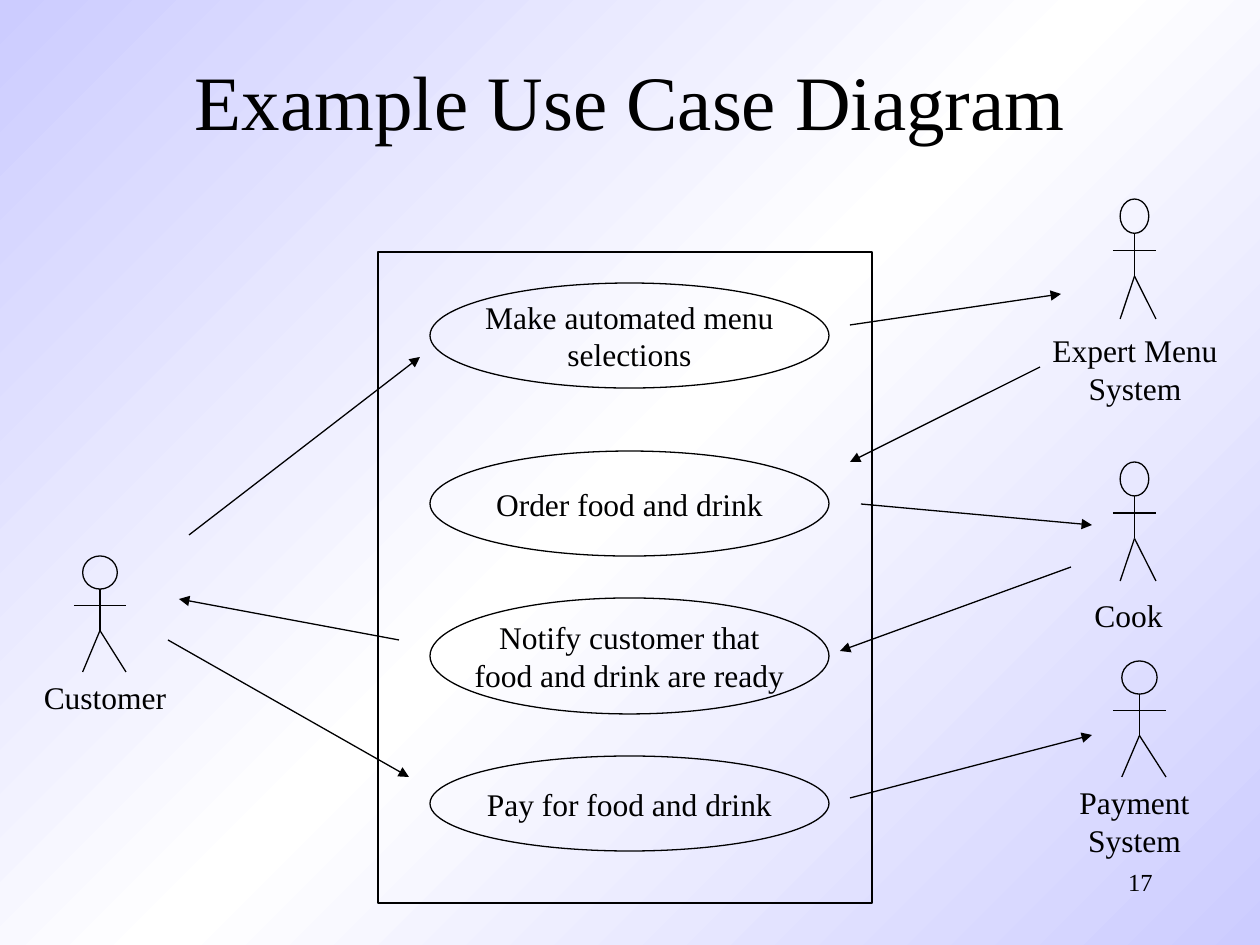
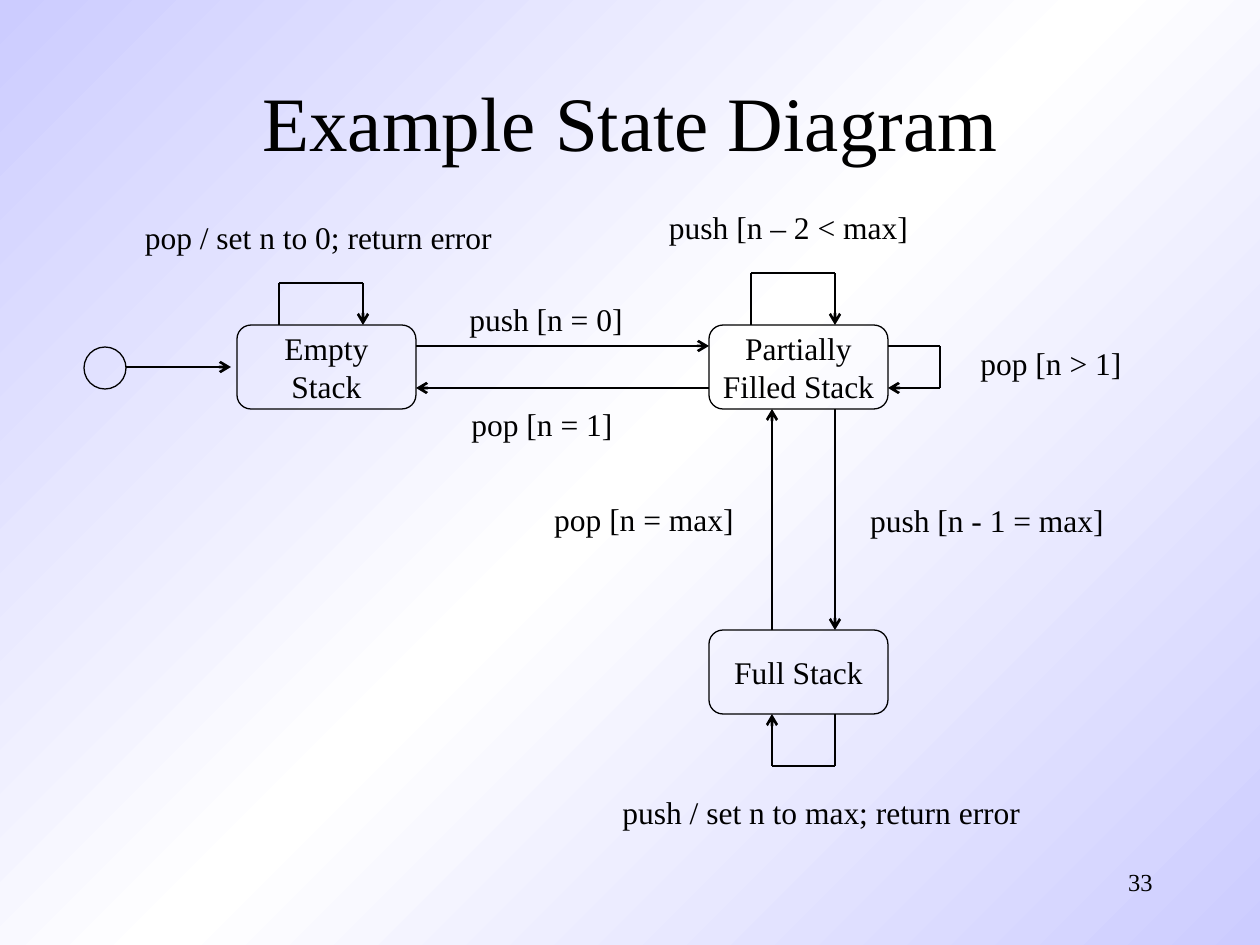
from copy import deepcopy
from dataclasses import dataclass
from itertools import pairwise
from typing import Any, NamedTuple

from lxml import etree
from pptx import Presentation
from pptx import util as u
from pptx.dml.color import RGBColor
from pptx.enum import shapes, text
from pptx.oxml.ns import qn

PX = u.Inches(1) / 126


@dataclass(frozen=True)
class Theme:
    ink: RGBColor = RGBColor(0x00, 0x00, 0x00)
    lilac: RGBColor = RGBColor(0xCC, 0xCC, 0xFF)
    white: RGBColor = RGBColor(0xFF, 0xFF, 0xFF)
    font: str = "Times New Roman"
    title_size: int = 44
    label_size: int = 18
    number_size: int = 14
    thin: float = 0.75
    thick: float = 1.5


THEME = Theme()


class Point(NamedTuple):
    x: float
    y: float


class Box(NamedTuple):
    left: float
    top: float
    width: float
    height: float


class Label(NamedTuple):
    words: str
    box: Box


class Actor(NamedTuple):
    label: Label
    figure: Box


SYSTEM_BOUNDARY = Box(378, 252, 494, 651)
USE_CASES = [
    Label("Make automated menu\nselections", Box(430, 283, 399, 105)),
    Label("Order food and drink", Box(430, 451, 399, 105)),
    Label("Notify customer that\nfood and drink are ready", Box(430, 598, 399, 116)),
    Label("Pay for food and drink", Box(430, 756, 399, 95)),
]
ACTORS = [
    Actor(Label("Customer", Box(29, 672, 152, 50)), Box(74, 556, 52, 116)),
    Actor(Label("Expert Menu\nSystem", Box(1037, 325, 196, 88)), Box(1113, 199, 43, 120)),
    Actor(Label("Cook", Box(1079, 590, 99, 50)), Box(1113, 462, 43, 119)),
    Actor(Label("Payment\nSystem", Box(1064, 777, 141, 88)), Box(1113, 661, 53, 116)),
]
MESSAGES = [
    [Point(189, 535), Point(420, 357)],
    [Point(850, 325), Point(1061, 294)],
    [Point(1040, 367), Point(850, 462)],
    [Point(861, 504), Point(1092, 525)],
    [Point(1071, 567), Point(840, 651)],
    [Point(399, 640), Point(179, 599)],
    [Point(168, 640), Point(409, 777)],
    [Point(850, 798), Point(1092, 735)],
]

START_STATE = Box(84, 347, 42, 42)
STATES = [
    Label("Empty\nStack", Box(237, 325, 179, 84)),
    Label("Partially\nFilled Stack", Box(709, 325, 179, 84)),
    Label("Full Stack", Box(709, 630, 179, 84)),
]
TRANSITIONS = [
    [Point(126, 367), Point(231, 367)],
    [Point(416, 346), Point(709, 346)],
    [Point(709, 388), Point(416, 388)],
    [Point(772, 630), Point(772, 409)],
    [Point(835, 409), Point(835, 630)],
    [Point(279, 325), Point(279, 283), Point(363, 283), Point(363, 325)],
    [Point(751, 325), Point(751, 273), Point(835, 273), Point(835, 325)],
    [Point(888, 346), Point(940, 346), Point(940, 388), Point(888, 388)],
    [Point(835, 714), Point(835, 766), Point(772, 766), Point(772, 714)],
]
TRANSITION_LABELS = [
    Label("pop / set n to 0; return error", Box(129, 212, 379, 50)),
    Label("push [n – 2 < max]", Box(653, 202, 271, 50)),
    Label("push [n = 0]", Box(454, 294, 184, 50)),
    Label("pop [n = 1]", Box(456, 399, 172, 50)),
    Label("pop [n > 1]", Box(965, 338, 172, 50)),
    Label("pop [n = max]", Box(539, 494, 210, 50)),
    Label("push [n - 1 = max]", Box(855, 495, 264, 50)),
    Label("push / set n to max; return error", Box(607, 787, 429, 50)),
]


def emu(lengths: tuple[float, ...]) -> list[int]:
    return [round(length * PX) for length in lengths]


def set_attributes(target: Any, values: dict[str, Any]) -> None:
    for name, value in values.items():
        setattr(target, name, value)


def write_text(shape: Any, words: str, size: int,
               align: Any = text.PP_ALIGN.CENTER, **frame_format: Any) -> None:
    """Fill the shape with one paragraph per line of words."""
    frame = shape.text_frame
    frame.text = words
    set_attributes(frame, frame_format)
    for paragraph in frame.paragraphs:
        paragraph.alignment = align
        set_attributes(paragraph.font, {"name": THEME.font, "size": u.Pt(size)})
        paragraph.font.color.rgb = THEME.ink


def add_outline(parent: Any, kind: Any, box: Box, words: str = "") -> None:
    shape = parent.shapes.add_shape(kind, *emu(box))
    shape.shadow.inherit = False
    shape.fill.background()
    shape.line.color.rgb = THEME.ink
    shape.line.width = u.Pt(THEME.thin)
    if words:
        write_text(shape, words, THEME.label_size, word_wrap=False,
                   vertical_anchor=text.MSO_ANCHOR.MIDDLE)


def add_label(slide: Any, label: Label) -> None:
    shape = slide.shapes.add_textbox(*emu(label.box))
    write_text(shape, label.words, THEME.label_size, word_wrap=False,
               auto_size=text.MSO_AUTO_SIZE.NONE)


def add_line(parent: Any, start: Point, end: Point, width: float, head: str = "") -> None:
    line = parent.shapes.add_connector(shapes.MSO_CONNECTOR.STRAIGHT, *emu(start + end))
    line.line.color.rgb = THEME.ink
    line.line.width = u.Pt(width)
    if head:
        etree.SubElement(line.line._get_or_add_ln(), qn("a:tailEnd"), type=head)
    etree.SubElement(line._element.spPr, qn("a:effectLst"))


def add_arrow(slide: Any, points: list[Point], width: float, head: str) -> None:
    """Join the points by lines, with an arrowhead at the last point."""
    for start, end in pairwise(points):
        add_line(slide, start, end, width, head if end == points[-1] else "")


def add_stick_figure(slide: Any, box: Box) -> None:
    left, top, width, height = box
    middle, right, bottom = left + width / 2, left + width, top + height
    head = Box(left + width / 6, top, width * 2 / 3, height * 2 / 7)
    neck = Point(middle, top + head.height)
    hip = Point(middle, top + height * 9 / 14)
    arms = top + height * 3 / 7
    limbs = [
        (neck, hip),
        (hip, Point(head.left, bottom)),
        (hip, Point(right, bottom)),
        (Point(left, arms), Point(right, arms)),
    ]
    group = slide.shapes.add_group_shape()
    add_outline(group, shapes.MSO_SHAPE.OVAL, head)
    for start, end in limbs:
        add_line(group, start, end, THEME.thin)


def paint_background(master: Any) -> None:
    fill = master.background.fill
    fill.gradient()
    fill.gradient_angle = 315
    stop_list = next(master._element.iter(qn("a:gsLst")))
    stop_list.insert(1, deepcopy(stop_list[0]))
    colors = [THEME.lilac, THEME.white, THEME.lilac]
    for index, (stop, color) in enumerate(zip(fill.gradient_stops, colors)):
        stop.position = index / 2
        stop.color.rgb = color


def add_slide(presentation: Any, title: str, title_top: int, number: int) -> Any:
    slide = presentation.slides.add_slide(presentation.slide_layouts[5])
    heading = slide.shapes.title
    places = emu(Box(95, title_top, 1071, 158))
    set_attributes(heading, dict(zip(Box._fields, places)))
    write_text(heading, title, THEME.title_size, word_wrap=True,
               auto_size=text.MSO_AUTO_SIZE.NONE,
               vertical_anchor=text.MSO_ANCHOR.MIDDLE)
    page_number = slide.shapes.add_textbox(*emu(Box(903, 861, 262, 63)))
    write_text(page_number, str(number), THEME.number_size,
               text.PP_ALIGN.RIGHT, word_wrap=True)
    return slide


def build_use_case_slide(presentation: Any) -> None:
    slide = add_slide(presentation, "Example Use Case Diagram", 21, 17)
    add_outline(slide, shapes.MSO_SHAPE.RECTANGLE, SYSTEM_BOUNDARY)
    for use_case in USE_CASES:
        add_outline(slide, shapes.MSO_SHAPE.OVAL, use_case.box, use_case.words)
    for actor in ACTORS:
        add_stick_figure(slide, actor.figure)
        add_label(slide, actor.label)
    for message in MESSAGES:
        add_arrow(slide, message, THEME.thin, "triangle")


def build_state_slide(presentation: Any) -> None:
    slide = add_slide(presentation, "Example State Diagram", 42, 33)
    add_outline(slide, shapes.MSO_SHAPE.OVAL, START_STATE)
    for state in STATES:
        add_outline(slide, shapes.MSO_SHAPE.FLOWCHART_ALTERNATE_PROCESS,
                    state.box, state.words)
    for transition in TRANSITIONS:
        add_arrow(slide, transition, THEME.thick, "arrow")
    for label in TRANSITION_LABELS:
        add_label(slide, label)


def main() -> None:
    presentation = Presentation()
    presentation.slide_width = u.Inches(10)
    presentation.slide_height = u.Inches(7.5)
    paint_background(presentation.slide_master)
    build_use_case_slide(presentation)
    build_state_slide(presentation)
    presentation.save("out.pptx")


if __name__ == "__main__":
    main()
